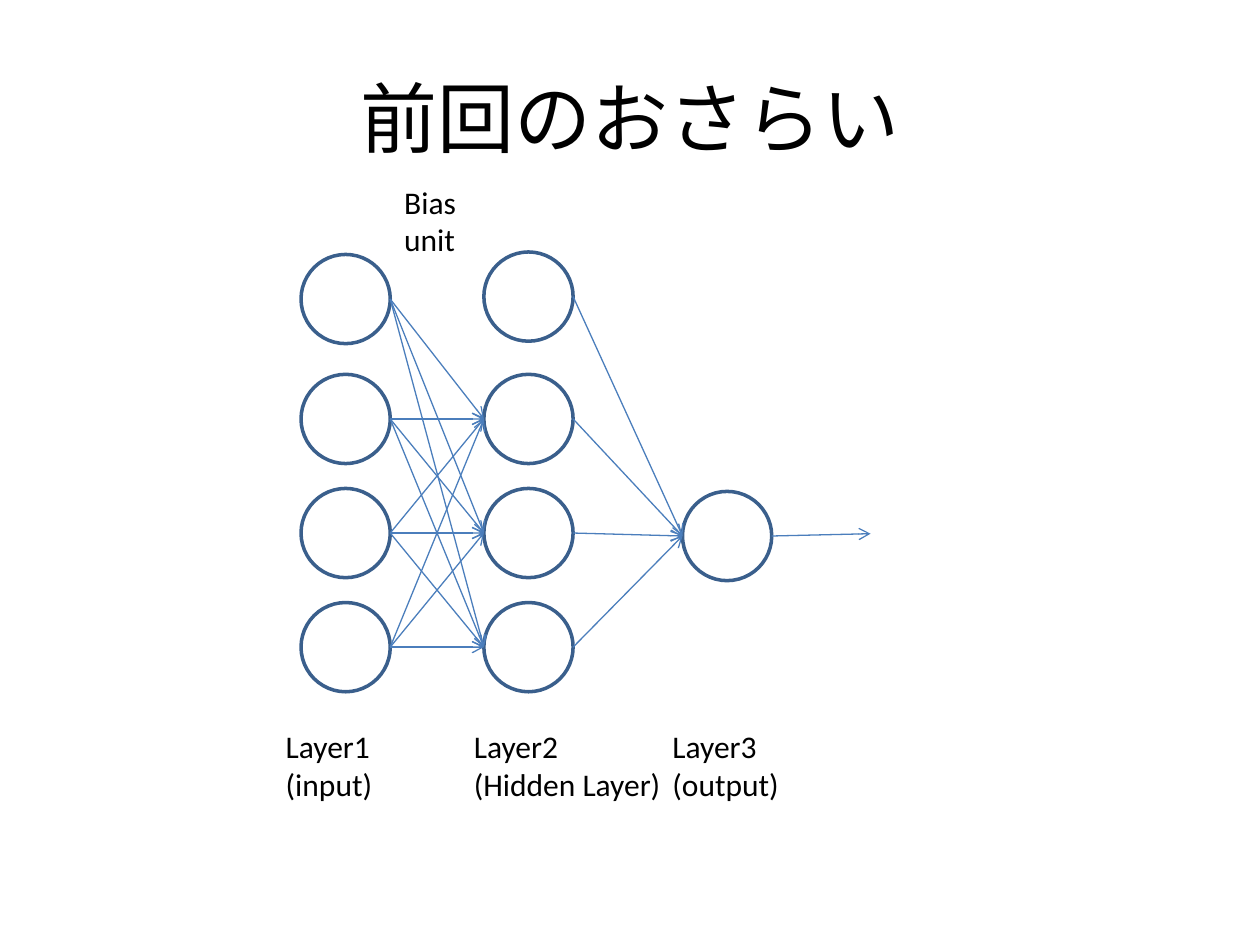
from itertools import product

from lxml import etree
from pptx import Presentation
from pptx.dml.color import RGBColor
from pptx.enum.shapes import MSO_CONNECTOR, MSO_SHAPE
from pptx.enum.text import MSO_ANCHOR, MSO_AUTO_SIZE, PP_ALIGN
from pptx.oxml.ns import qn
from pptx.util import Pt

STRAIGHT = MSO_CONNECTOR.STRAIGHT
OVAL = MSO_SHAPE.OVAL
TOP, MIDDLE = MSO_ANCHOR.TOP, MSO_ANCHOR.MIDDLE
LEFT, CENTER = PP_ALIGN.LEFT, PP_ALIGN.CENTER
FIT_SHAPE = MSO_AUTO_SIZE.SHAPE_TO_FIT_TEXT
FIT_NONE = MSO_AUTO_SIZE.NONE

COLORS = {"text": "000000", "node": "3A5F8C", "arrow": "4B7EBC"}
FONT = "Calibri"
DIAMETER = 51
RADIUS = DIAMETER / 2


def color(name):
    """Return the named colour."""
    return RGBColor.from_string(COLORS[name])


def add_text(slide, box, lines, size=18, align=LEFT, anchor=TOP, fit=FIT_SHAPE, wrap=True):
    """Place one paragraph per line in a text box."""
    frame = slide.shapes.add_textbox(*map(Pt, box)).text_frame
    frame.word_wrap = wrap
    frame.auto_size = fit
    frame.vertical_anchor = anchor
    for index, line in enumerate(lines):
        paragraph = frame.add_paragraph() if index else frame.paragraphs[0]
        paragraph.alignment = align
        run = paragraph.add_run()
        run.text = line
        run.font.name = FONT
        run.font.size = Pt(size)
        run.font.color.rgb = color("text")


def add_node(slide, left, top):
    """Draw a unit and return its left and right connection points."""
    shape = slide.shapes.add_shape(OVAL, Pt(left), Pt(top), Pt(DIAMETER), Pt(DIAMETER))
    shape.shadow.inherit = False
    shape.fill.background()
    shape.line.color.rgb = color("node")
    shape.line.width = Pt(2)
    middle = top + RADIUS
    return (left, middle), (left + DIAMETER, middle)


def add_arrow(slide, start, end):
    """Draw a thin line with an open arrowhead at its end."""
    connector = slide.shapes.add_connector(STRAIGHT, *map(Pt, (*start, *end)))
    connector.line.color.rgb = color("arrow")
    connector.line.width = Pt(0.75)
    etree.SubElement(connector.line._get_or_add_ln(), qn("a:tailEnd"), type="arrow")
    etree.SubElement(connector._element.spPr, qn("a:effectLst"))


def add_title(slide, box):
    """Place the centred slide title."""
    add_text(slide, box, ["前回のおさらい"], 44, CENTER, MIDDLE, FIT_NONE)


def add_network(slide, left, top):
    """Draw the three layers and the arrows between them."""
    rows = [top + 69.9 + 65.2 * row for row in range(3)]
    inputs = [add_node(slide, left, y) for y in [top + 1.4, *rows]]
    hidden = [add_node(slide, left + 104.5, y) for y in [top, *rows]]
    output_in, output_out = add_node(slide, left + 218, top + 136.8)

    for (_, start), (end, _) in product(inputs, hidden[1:]):
        add_arrow(slide, start, end)
    for _, start in hidden:
        add_arrow(slide, start, output_in)
    x, y = output_out
    add_arrow(slide, output_out, (x + 56.5, y - 1.3))


def add_labels(slide, left, top):
    """Name the bias unit and, below the network, each layer."""
    add_text(slide, (left + 67.7, top, 52.6, 51), ["Bias unit"])
    layers = [
        (0, 73.4, "Layer1", "(input)"),
        (107.5, 141.8, "Layer2", "(Hidden Layer)"),
        (221, 79.2, "Layer3", "(output)"),
    ]
    for offset, width, name, role in layers:
        box = (left + offset, top + 311, width, 51)
        add_text(slide, box, [name, role], wrap=False)


def main():
    """Build and save the slide."""
    presentation = Presentation()
    presentation.slide_width, presentation.slide_height = Pt(720), Pt(540)
    slide = presentation.slides.add_slide(presentation.slide_layouts[6])
    add_title(slide, (36, 21.6, 648, 90))
    add_network(slide, 172, 144)
    add_labels(slide, 156.2, 100.8)
    presentation.save("out.pptx")


if __name__ == "__main__":
    main()
